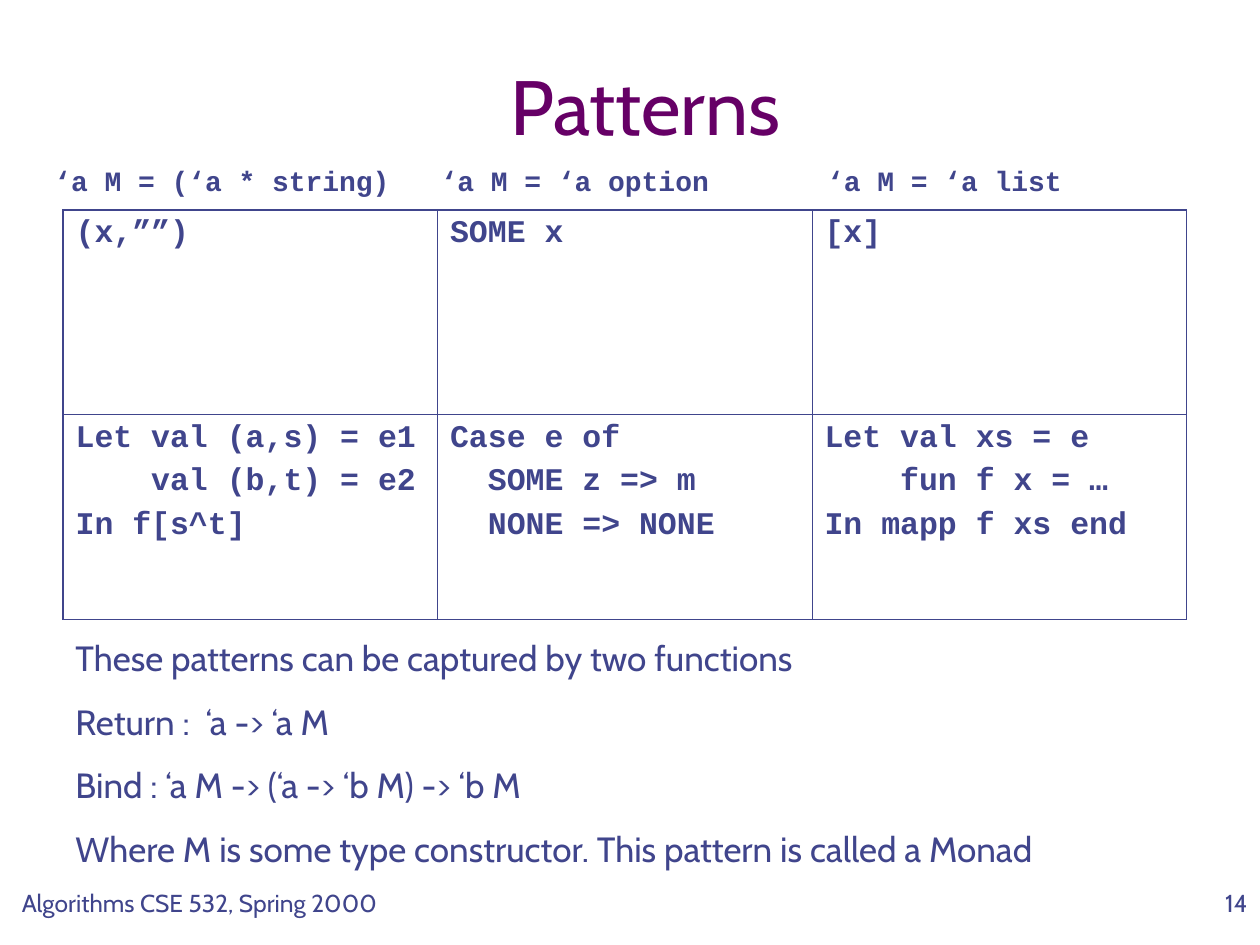
import pptx
import pptx.dml.color
import pptx.enum.text
import pptx.oxml.ns
import pptx.util
from lxml import etree

COLORS = {"title": "660066", "ink": "40458C"}
PROSE, CODE = "Cabin", "Courier New"
UNIT = pptx.util.Inches(1) / 12
HEADING_STOP = 36.8
OUTER, INNER = 1.08, 0.45
ALIGN = pptx.enum.text.PP_ALIGN
ANCHOR = pptx.enum.text.MSO_ANCHOR

HEADINGS = ["‘a M = (‘a * string)", "‘a M = ‘a option", "‘a M = ‘a list"]
PATTERNS = [
    [["(x,””)"], ["SOME x"], ["[x]"]],
    [
        ["Let val (a,s) = e1", "    val (b,t) = e2", "In f[s^t]"],
        ["Case e of", "  SOME z => m", "  NONE => NONE"],
        ["Let val xs = e", "    fun f x = …", "In mapp f xs end"],
    ],
]
SUMMARY = [
    "These patterns can be captured by two functions",
    "Return :  ‘a -> ‘a M",
    "Bind : ‘a M -> (‘a -> ‘b M) -> ‘b M",
    "Where M is some type constructor. This pattern is called a Monad",
]


def units(*counts):
    return [round(count * UNIT) for count in counts]


def add_element(parent, tag, **attributes):
    return etree.SubElement(parent, pptx.oxml.ns.qn(tag), attributes)


def write_lines(frame, lines, size, font=PROSE, color="ink", bold=False,
                align=ALIGN.LEFT, gap=0):
    for index, line in enumerate(lines):
        paragraph = frame.paragraphs[0] if index == 0 else frame.add_paragraph()
        paragraph.alignment = align
        if index:
            paragraph.space_before = pptx.util.Pt(gap)
        run = paragraph.add_run()
        run.text = line
        run.font.name = font
        run.font.size = pptx.util.Pt(size)
        run.font.bold = bold
        run.font.color.rgb = pptx.dml.color.RGBColor.from_string(COLORS[color])


def add_text(slide, place, lines, size, anchor=ANCHOR.TOP, **style):
    frame = slide.shapes.add_textbox(*units(*place)).text_frame
    frame.word_wrap = True
    frame.vertical_anchor = anchor
    write_lines(frame, lines, size, **style)
    return frame


def add_headings(slide, place):
    frame = add_text(slide, place, ["\t".join(HEADINGS)], 16, font=CODE, bold=True)
    stops = add_element(frame.paragraphs[0]._p.get_or_add_pPr(), "a:tabLst")
    for column in range(1, len(HEADINGS)):
        position = units(column * HEADING_STOP)[0]
        add_element(stops, "a:tab", pos=str(position), algn="l")


def draw_border(cell, side, width):
    line = add_element(cell._tc.get_or_add_tcPr(), f"a:ln{side}",
                       w=str(pptx.util.Pt(width)))
    fill = add_element(line, "a:solidFill")
    add_element(fill, "a:srgbClr", val=COLORS["ink"])


def add_patterns(slide, place):
    rows, columns = len(PATTERNS), len(PATTERNS[0])
    table = slide.shapes.add_table(rows, columns, *units(*place)).table
    table.first_row = False
    table.horz_banding = False
    for r, row in enumerate(PATTERNS):
        for c, lines in enumerate(row):
            cell = table.cell(r, c)
            on_edge = {"L": c == 0, "R": c == columns - 1,
                       "T": r == 0, "B": r == rows - 1}
            for side, outer in on_edge.items():
                draw_border(cell, side, OUTER if outer else INNER)
            cell.fill.background()
            write_lines(cell.text_frame, lines, 18, font=CODE, bold=True, gap=4.5)


def main():
    deck = pptx.Presentation()
    deck.slide_width, deck.slide_height = units(120, 90)
    slide = deck.slides.add_slide(deck.slide_layouts[6])
    add_text(slide, (8, 5, 107, 10), ["Patterns"], 44, anchor=ANCHOR.BOTTOM,
             color="title", align=ALIGN.CENTER)
    add_patterns(slide, (6, 20, 107, 39))
    add_text(slide, (6, 60, 106, 23.5), SUMMARY, 20, gap=12.5)
    add_headings(slide, (4, 15, 115, 4.4))
    add_text(slide, (0, 84, 38, 6), ["Algorithms CSE 532, Spring 2000"], 14,
             align=ALIGN.CENTER)
    add_text(slide, (95, 84, 25, 6), ["14"], 14, align=ALIGN.RIGHT)
    deck.save("out.pptx")


if __name__ == "__main__":
    main()
